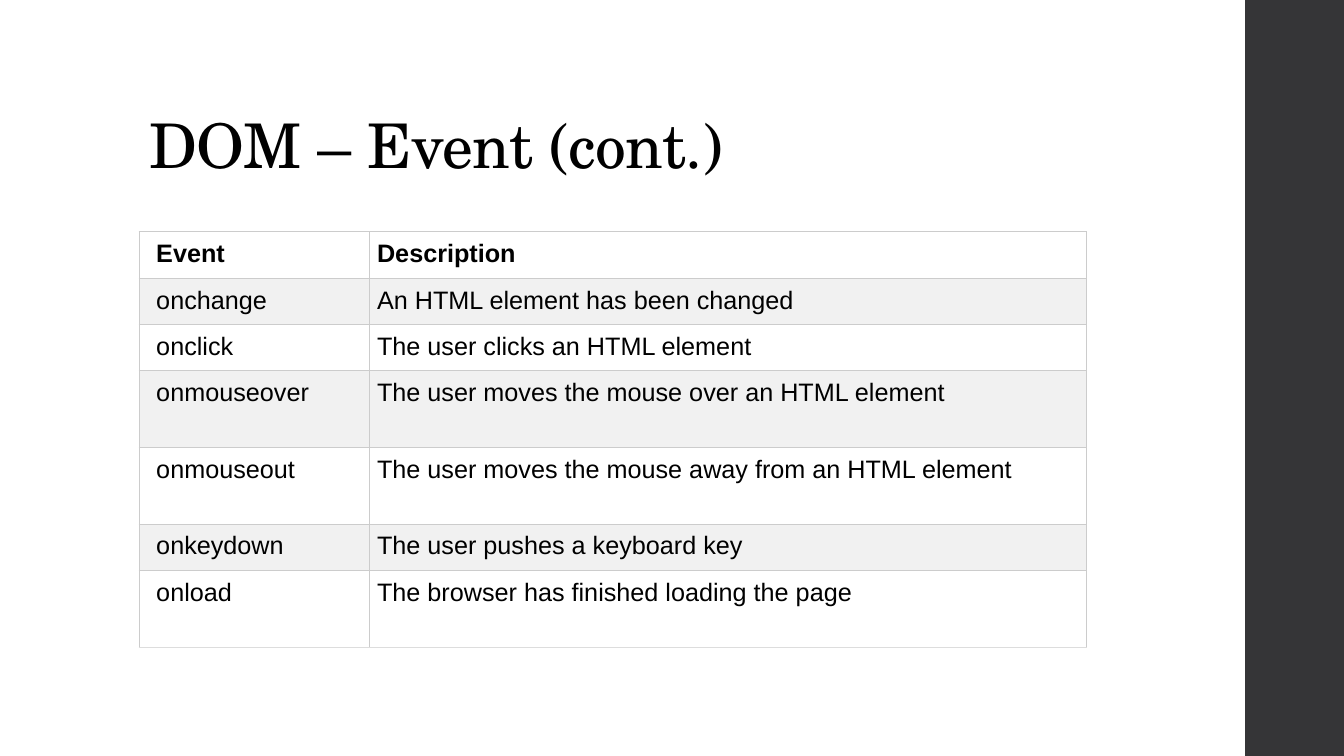
from lxml.etree import SubElement
from pptx import Presentation
from pptx.dml.color import RGBColor
from pptx.enum.shapes import MSO_SHAPE
from pptx.enum.text import MSO_ANCHOR, PP_ALIGN
from pptx.oxml.ns import qn
from pptx.util import Inches, Pt

TITLE = "DOM – Event (cont.)"
EVENTS = [
    ("Event", "Description", 0.46),
    ("onchange", "An HTML element has been changed", 0.46),
    ("onclick", "The user clicks an HTML element", 0.46),
    ("onmouseover", "The user moves the mouse over an HTML element", 0.76),
    ("onmouseout", "The user moves the mouse away from an HTML element", 0.76),
    ("onkeydown", "The user pushes a keyboard key", 0.46),
    ("onload", "The browser has finished loading the page", 0.76),
]
WIDTHS = (2.28, 7.12)
INSETS = (0.17, 0.08)
COLORS = {"text": "000000", "bar": "353537", "plain": "FFFFFF",
          "band": "F1F1F1", "line": "CCCCCC", "foot": "DDDDDD"}
FONTS = {
    "title": {"name": "TeX Gyre Schola", "size": Pt(44), "bold": False},
    "head": {"name": "Arial", "size": Pt(18), "bold": True},
    "body": {"name": "Arial", "size": Pt(18), "bold": False},
}


def color(key):
    return RGBColor.from_string(COLORS[key])


def style(font, kind):
    for key, value in FONTS[kind].items():
        setattr(font, key, value)
    font.color.rgb = color("text")


def border(cell, last):
    props = cell._tc.get_or_add_tcPr()
    for side in "LRTB":
        line = SubElement(props, qn(f"a:ln{side}"), w=str(Pt(0.75)))
        fill = SubElement(line, qn("a:solidFill"))
        key = "foot" if last and side == "B" else "line"
        SubElement(fill, qn("a:srgbClr"), val=COLORS[key])


def add_bar(slide):
    bar = slide.shapes.add_shape(MSO_SHAPE.RECTANGLE, Inches(12.35), 0,
                                 Inches(0.98), Inches(7.5))
    bar.shadow.inherit = False
    bar.fill.solid()
    bar.fill.fore_color.rgb = color("bar")
    bar.line.fill.background()


def add_title(slide):
    title = slide.shapes.title
    title.left, title.top = Inches(1.38), Inches(0.4)
    title.width, title.height = Inches(10.6), Inches(1.45)
    frame = title.text_frame
    frame.text = TITLE
    frame.vertical_anchor = MSO_ANCHOR.BOTTOM
    para = frame.paragraphs[0]
    para.alignment = PP_ALIGN.LEFT
    para.line_spacing = 0.9
    run = para.runs[0]
    style(run.font, "title")
    run.font._element.set("spc", "-50")


def add_events(slide):
    total = sum(row[2] for row in EVENTS)
    table = slide.shapes.add_table(
        len(EVENTS), len(WIDTHS), Inches(1.38), Inches(2.3),
        Inches(sum(WIDTHS)), Inches(total)).table
    for col, width in zip(table.columns, WIDTHS):
        col.width = Inches(width)
    for r, (*texts, height) in enumerate(EVENTS):
        table.rows[r].height = Inches(height)
        for c, text in enumerate(texts):
            cell = table.cell(r, c)
            cell.text = text
            cell.margin_left = Inches(INSETS[c])
            cell.margin_right = Inches(0.08)
            cell.margin_top = cell.margin_bottom = Inches(0.08)
            border(cell, r == len(EVENTS) - 1)
            cell.fill.solid()
            cell.fill.fore_color.rgb = color("band" if r % 2 else "plain")
            run = cell.text_frame.paragraphs[0].runs[0]
            style(run.font, "body" if r else "head")


def main():
    deck = Presentation()
    deck.slide_width, deck.slide_height = Inches(13.33), Inches(7.5)
    slide = deck.slides.add_slide(deck.slide_layouts[5])
    add_bar(slide)
    add_title(slide)
    add_events(slide)
    deck.save("out.pptx")


if __name__ == "__main__":
    main()
